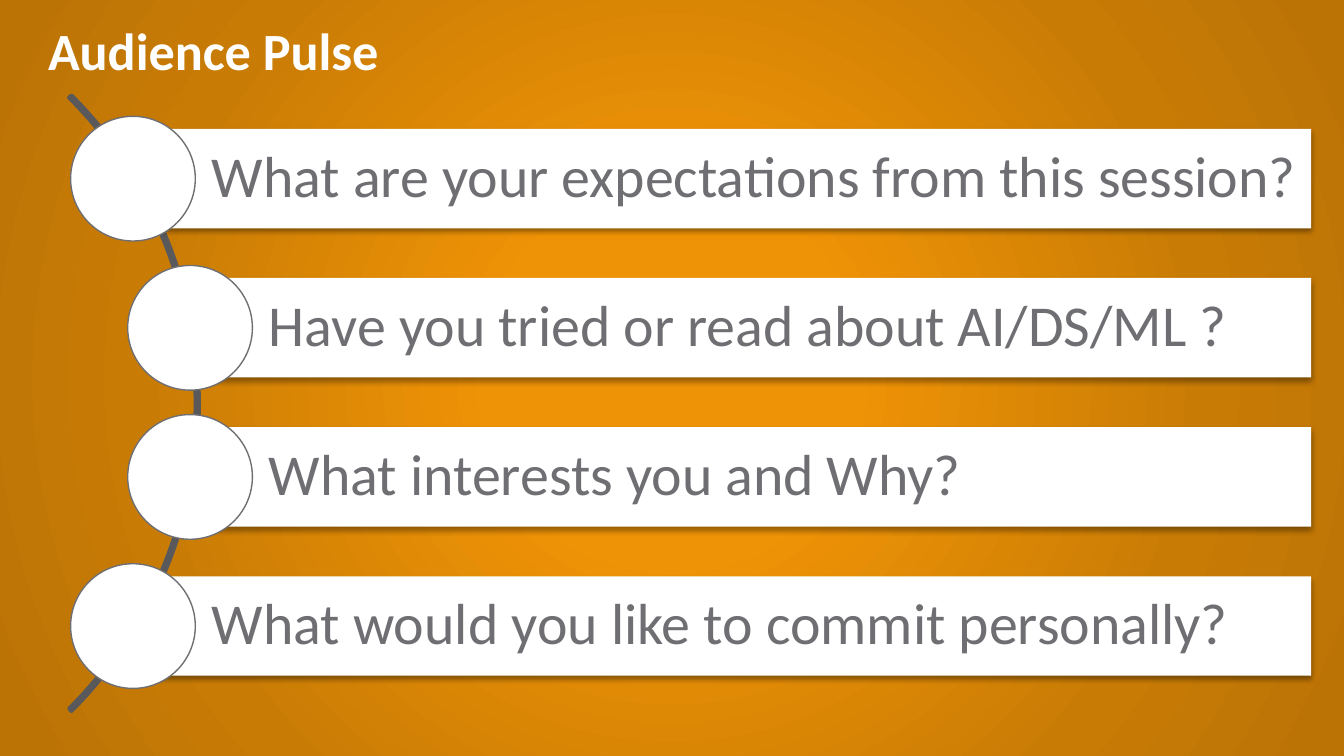
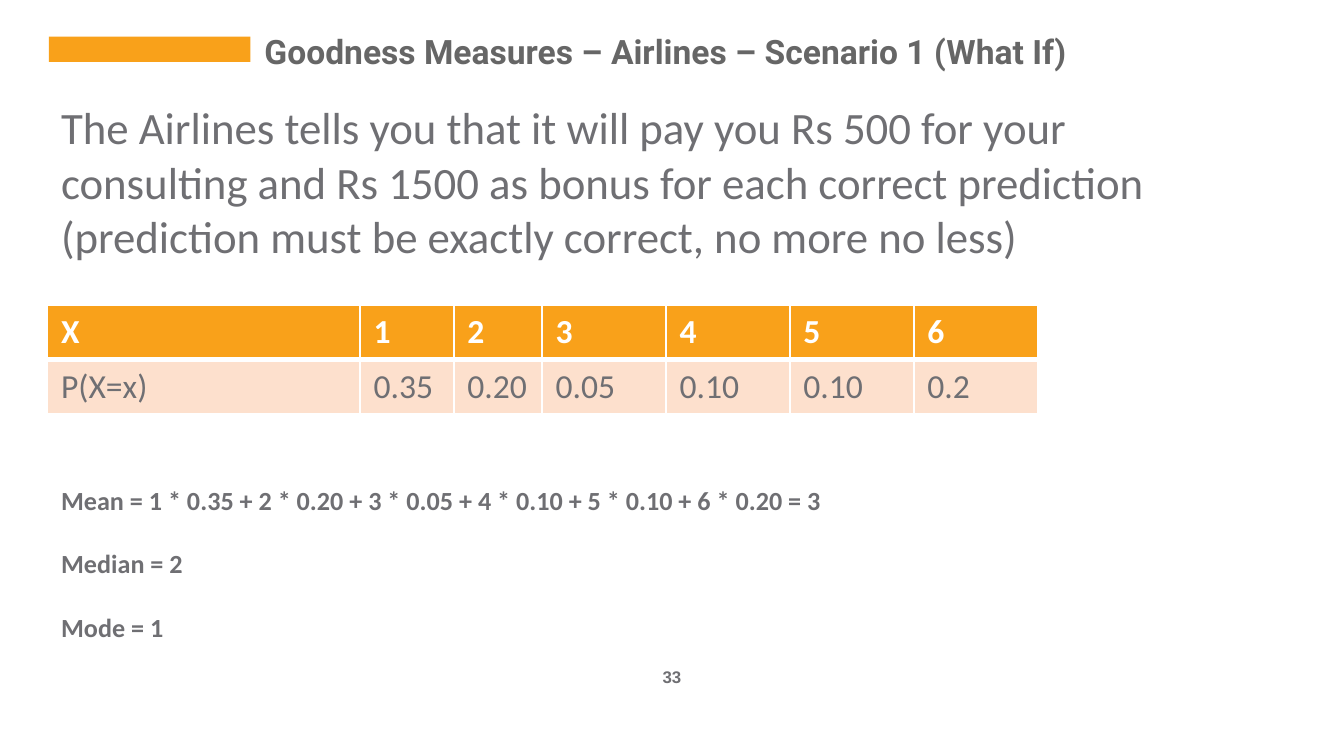
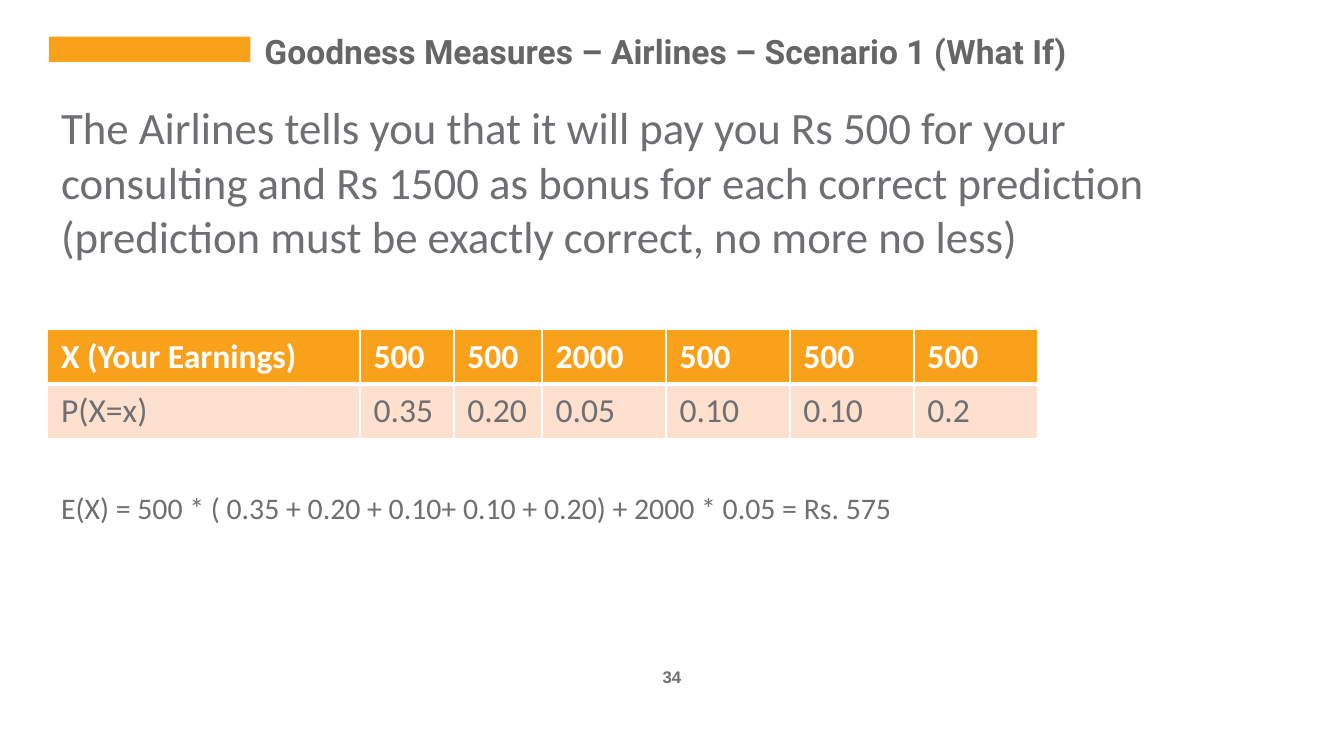
"""Build three slides: an audience question list and two airline scenarios."""
from dataclasses import dataclass

from lxml import etree
from pptx import Presentation
from pptx.dml.color import RGBColor
from pptx.enum.shapes import MSO_SHAPE
from pptx.enum.text import MSO_ANCHOR, MSO_AUTO_SIZE, PP_ALIGN
from pptx.oxml import parse_xml
from pptx.oxml.ns import nsdecls, qn
from pptx.shapes.autoshape import Shape
from pptx.slide import Slide
from pptx.table import Table
from pptx.text.text import TextFrame
from pptx.util import Pt

RECTANGLE, OVAL, BLOCK_ARC = MSO_SHAPE.RECTANGLE, MSO_SHAPE.OVAL, MSO_SHAPE.BLOCK_ARC
MIDDLE, CENTER = MSO_ANCHOR.MIDDLE, PP_ALIGN.CENTER
GROW = MSO_AUTO_SIZE.SHAPE_TO_FIT_TEXT
PLAIN_TABLE_STYLE = "{2D5ABB26-0587-4C30-8999-92F81FD0307C}"


@dataclass(frozen=True)
class Style:
    """Look of a piece of text."""

    size: float
    color: str
    bold: bool = False
    font: str = "Calibri"


@dataclass(frozen=True)
class Theme:
    """Colours and text styles shared by the slides."""

    orange: str = "F9A11A"
    peach: str = "FDE0CD"
    white: str = "FFFFFF"
    gray: str = "6F6F73"
    arc: str = "59595C"
    glow: tuple = ((0, "EF9306"), (23, "EF9306"), (69, "C97C05"), (97, "BC7305"))
    pulse_title: Style = Style(28, "FFFFFF", True)
    question: Style = Style(31, "6F6F73")
    title: Style = Style(18, "666666", True, "Roboto")
    number: Style = Style(9, "6F6F73", True, "Arial")
    body: Style = Style(24, "6F6F73")
    header: Style = Style(18, "FFFFFF", True)
    value: Style = Style(18, "6F6F73")
    measure: Style = Style(14, "6F6F73", True)
    expectation: Style = Style(16, "6F6F73")


@dataclass(frozen=True)
class Area:
    """Place and size in points."""

    left: float
    top: float
    width: float
    height: float

    def lengths(self) -> tuple:
        """Return the four lengths for python-pptx."""
        return Pt(self.left), Pt(self.top), Pt(self.width), Pt(self.height)


@dataclass(frozen=True)
class Question:
    """A question and the centre of its circle across the slide."""

    text: str
    center: float


@dataclass(frozen=True)
class Scenario:
    """Contents of one scenario slide."""

    number: str
    table_top: float
    outcomes: tuple
    result_area: Area
    results: tuple
    result_style: Style


THEME = Theme()
SLIDE = Area(0, 0, 720, 405)
TITLE = "Goodness Measures – Airlines – Scenario 1 (What If)"
OFFER = ("The Airlines tells you that it will pay you Rs 500 for your consulting and "
         "Rs 1500 as bonus for each correct prediction (prediction must be exactly "
         "correct, no more no less)")
PROBABILITIES = ("P(X=x)", "0.35", "0.20", "0.05", "0.10", "0.10", "0.2")
COLUMNS = (167.5, 50.2, 47.3, 66.4, 66.4, 66.4, 66.4)
TABLE_LEFT, ROW_HEIGHT = 25.5, 29.2
OUTER, INNER = 71.2, 101.8
QUESTIONS = (
    Question("What are your expectations from this session?", OUTER),
    Question("Have you tried or read about AI/DS/ML ?", INNER),
    Question("What interests you and Why?", INNER),
    Question("What would you like to commit personally?", OUTER),
)
SCENARIOS = (
    Scenario("33", 163.5, ("X", "1", "2", "3", "4", "5", "6"),
             Area(TABLE_LEFT, 256.3, 569, 91.5),
             ("Mean = 1 * 0.35 + 2 * 0.20 + 3 * 0.05 + 4 * 0.10 + 5 * 0.10 + 6 * 0.20 = 3",
              "Median = 2", "Mode = 1"), THEME.measure),
    Scenario("34", 176.5,
             ("X (Your Earnings)", "500", "500", "2000", "500", "500", "500"),
             Area(TABLE_LEFT, 259.2, 608, 37.5),
             ("E(X) = 500 * ( 0.35 + 0.20 + 0.10+ 0.10 + 0.20) + 2000 * 0.05 = Rs. 575",),
             THEME.expectation),
)


def rgb(color: str) -> RGBColor:
    """Turn a hex code into a colour."""
    return RGBColor.from_string(color)


def write(frame: TextFrame, lines: tuple, style: Style, gap: float = 0) -> None:
    """Write styled paragraphs, with a gap between them."""
    frame.word_wrap = True
    frame.text = "\n".join(lines)
    for index, para in enumerate(frame.paragraphs):
        para.space_before = Pt(gap if index else 0)
        for span in para.runs:
            span.font.name = style.font
            span.font.size = Pt(style.size)
            span.font.bold = style.bold
            span.font.color.rgb = rgb(style.color)


def add_text(page: Slide, area: Area, text: str, style: Style) -> TextFrame:
    """Add a text box and return its frame."""
    frame = page.shapes.add_textbox(*area.lengths()).text_frame
    write(frame, (text,), style)
    return frame


def add_block(page: Slide, kind: MSO_SHAPE, area: Area, fill: str = "",
              line: str = "", weight: float = 0.75) -> Shape:
    """Add a preset shape with optional fill and outline."""
    block = page.shapes.add_shape(kind, *area.lengths())
    block.shadow.inherit = False
    if fill:
        block.fill.solid()
        block.fill.fore_color.rgb = rgb(fill)
    else:
        block.fill.background()
    if line:
        block.line.color.rgb = rgb(line)
        block.line.width = Pt(weight)
    else:
        block.line.fill.background()
    return block


def add_glow(page: Slide) -> None:
    """Cover the slide with a circular gradient."""
    cover = add_block(page, RECTANGLE, SLIDE)
    stops = "".join(f'<a:gs pos="{place * 1000}"><a:srgbClr val="{color}"/></a:gs>'
                    for place, color in THEME.glow)
    gradient = parse_xml(
        f'<a:gradFill {nsdecls("a")} rotWithShape="1"><a:gsLst>{stops}</a:gsLst>'
        '<a:path path="circle"><a:fillToRect l="50000" t="50000" r="50000" b="50000"/>'
        '</a:path></a:gradFill>')
    properties = cover.element.spPr
    properties.replace(properties.find(qn("a:noFill")), gradient)


def add_drop_shadow(block: Shape) -> None:
    """Give a shape a soft shadow below it."""
    effects = block.element.spPr.find(qn("a:effectLst"))
    effects.append(parse_xml(
        f'<a:outerShdw {nsdecls("a")} blurRad="{Pt(3.1)}" dist="{Pt(1.6)}" dir="5400000" '
        'rotWithShape="0"><a:srgbClr val="000000"><a:alpha val="38000"/></a:srgbClr>'
        '</a:outerShdw>'))


def add_question(page: Slide, question: Question, middle: float) -> None:
    """Add a question bar with a circle on its left end."""
    right, bar_height, diameter = 702.4, 53.3, 66.8
    bar = add_block(page, RECTANGLE, Area(question.center, middle - bar_height / 2,
                                          right - question.center, bar_height), THEME.white)
    add_drop_shadow(bar)
    frame = bar.text_frame
    write(frame, (question.text,), THEME.question)
    frame.vertical_anchor = MIDDLE
    frame.margin_left = Pt(42.3)
    frame.margin_top = frame.margin_right = frame.margin_bottom = Pt(6.2)
    frame.paragraphs[0].alignment = PP_ALIGN.LEFT
    frame.paragraphs[0].line_spacing = 0.9
    add_block(page, OVAL, Area(question.center - diameter / 2, middle - diameter / 2,
                               diameter, diameter), THEME.white, THEME.gray)


def add_plain_table(page: Slide, area: Area, rows: int, columns: int) -> Table:
    """Add a table without a banded style."""
    holder = page.shapes.add_table(rows, columns, *area.lengths())
    holder.element.find(".//" + qn("a:tableStyleId")).text = PLAIN_TABLE_STYLE
    table = holder.table
    table.first_row = table.horz_banding = False
    return table


def add_text_table(page: Slide, area: Area, lines: tuple, style: Style) -> None:
    """Add a one-cell table of text."""
    cell = add_plain_table(page, area, 1, 1).cell(0, 0)
    cell.fill.background()
    write(cell.text_frame, lines, style, gap=17)


def add_borders(properties: etree.ElementBase, top: float, bottom: float) -> None:
    """Put white borders ahead of the fill of a cell."""
    sides = (("lnL", 1), ("lnR", 1), ("lnT", top), ("lnB", bottom))
    for index, (side, weight) in enumerate(sides):
        properties.insert(index, parse_xml(
            f'<a:{side} {nsdecls("a")} w="{Pt(weight)}"><a:solidFill>'
            f'<a:srgbClr val="{THEME.white}"/></a:solidFill></a:{side}>'))


def add_probability_table(page: Slide, top: float, outcomes: tuple) -> None:
    """Add the outcomes and their probabilities."""
    rows = ((outcomes, THEME.header, THEME.orange, 1, 3),
            (PROBABILITIES, THEME.value, THEME.peach, 3, 1))
    area = Area(TABLE_LEFT, top, sum(COLUMNS), ROW_HEIGHT * len(rows))
    table = add_plain_table(page, area, len(rows), len(COLUMNS))
    for column, width in zip(table.columns, COLUMNS):
        column.width = Pt(width)
    for row, (values, style, fill, upper, lower) in zip(table.rows, rows):
        for cell, value in zip(row.cells, values):
            cell.fill.solid()
            cell.fill.fore_color.rgb = rgb(fill)
            write(cell.text_frame, (value,), style)
            add_borders(cell.fill.fore_color and cell._tc.tcPr, upper, lower)


def build_pulse(page: Slide) -> None:
    """Build the audience question slide."""
    add_glow(page)
    arc = add_block(page, BLOCK_ARC, Area(-360, -17.3, 466.6, 466.6),
                    line=THEME.arc, weight=2)
    for index, value in enumerate((189, 27, 0.004)):
        arc.adjustments[index] = value
    for index, question in enumerate(QUESTIONS):
        add_question(page, question, 95.7 + 79.9 * index)
    add_text(page, Area(18.7, 6, 625.7, 45.4), "Audience Pulse", THEME.pulse_title)


def build_scenario(page: Slide, scenario: Scenario) -> None:
    """Build one airline scenario slide."""
    add_block(page, RECTANGLE, Area(26.2, 19.7, 108, 13.5), THEME.orange)
    number = add_text(page, Area(306, 353.5, 108, 18), scenario.number, THEME.number)
    number.auto_size = GROW
    number.paragraphs[0].alignment = CENTER
    title = add_text(page, Area(134.6, 15.3, 546.5, 24.5), TITLE, THEME.title)
    title.vertical_anchor = MIDDLE
    title.margin_top = title.margin_bottom = Pt(7.2)
    add_text_table(page, Area(TABLE_LEFT, 51.1, 608, 101.5), (OFFER,), THEME.body)
    add_probability_table(page, scenario.table_top, scenario.outcomes)
    add_text_table(page, scenario.result_area, scenario.results, scenario.result_style)


def main() -> None:
    """Build and save the deck."""
    deck = Presentation()
    deck.slide_width, deck.slide_height = Pt(SLIDE.width), Pt(SLIDE.height)
    blank = deck.slide_layouts[6]
    build_pulse(deck.slides.add_slide(blank))
    for scenario in SCENARIOS:
        build_scenario(deck.slides.add_slide(blank), scenario)
    deck.save("out.pptx")


if __name__ == "__main__":
    main()
